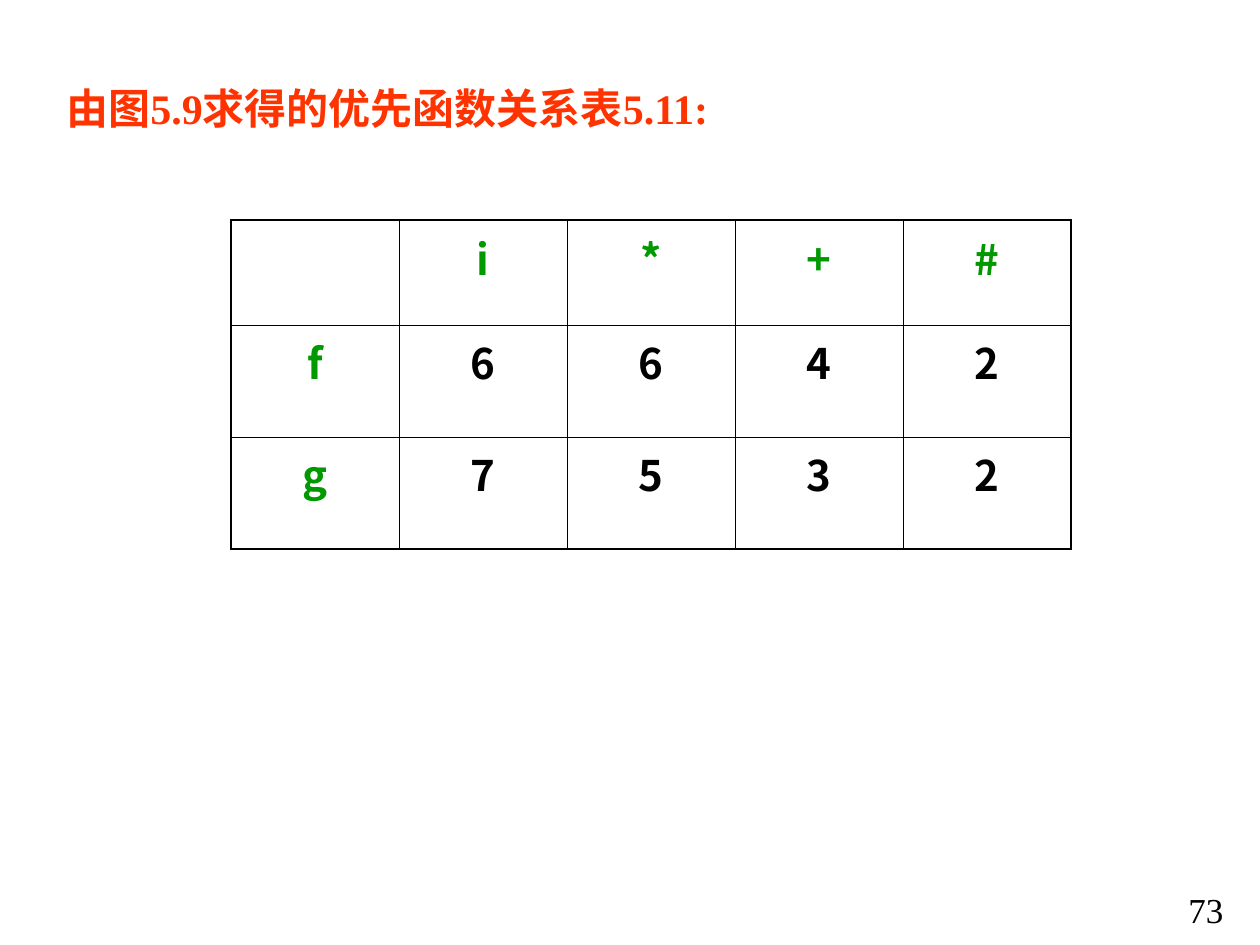
from lxml import etree
from pptx import Presentation
from pptx.dml.color import RGBColor
from pptx.enum.text import MSO_AUTO_SIZE as AutoSize, PP_ALIGN as Align
from pptx.oxml.ns import qn
from pptx.util import Emu, Pt

PX = 914400 // 126  # one pixel at 126 to the inch
RED = RGBColor(0xFF, 0x33, 0x00)
GREEN = RGBColor(0x00, 0x99, 0x00)
BLACK = RGBColor(0x00, 0x00, 0x00)
SERIF, SANS = "Times New Roman", "Noto Sans CJK SC"
THIN, THICK = Pt(0.45), Pt(1.08)

PRECEDENCE = [
    ["", "i", "*", "+", "#"],
    ["f", "6", "6", "4", "2"],
    ["g", "7", "5", "3", "2"],
]


def px(length):
    return Emu(length * PX)


def write_text(frame, text, size=24, font=SERIF, color=BLACK, bold=False, align=Align.LEFT):
    paragraph = frame.paragraphs[0]
    paragraph.alignment = align
    run = paragraph.add_run()
    run.text = text
    run.font.size, run.font.name, run.font.bold = Pt(size), font, bold
    run.font.color.rgb = color
    east_asian = etree.SubElement(run.font._element, qn("a:ea"))
    east_asian.set("typeface", SANS)


def add_text_box(slide, box, text, **text_format):
    frame = slide.shapes.add_textbox(*map(px, box)).text_frame
    frame.word_wrap = True
    frame.auto_size = AutoSize.SHAPE_TO_FIT_TEXT
    write_text(frame, text, **text_format)


def set_borders(cell, widths):
    """Draw black cell borders; widths maps L, R, T, B to line widths."""
    properties = cell._tc.get_or_add_tcPr()
    for position, side in enumerate("LRTB"):
        line = etree.Element(qn(f"a:ln{side}"), w=str(int(widths[side])))
        fill = etree.SubElement(line, qn("a:solidFill"))
        etree.SubElement(fill, qn("a:srgbClr"), val=str(BLACK))
        properties.insert(position, line)


def add_precedence_table(slide, box, rows, row_heights):
    last_row, last_column = len(rows) - 1, len(rows[0]) - 1
    table = slide.shapes.add_table(len(rows), len(rows[0]), *map(px, box)).table
    table.first_row = table.horz_banding = False
    for row, height in zip(table.rows, row_heights):
        row.height = px(height)
    for r, values in enumerate(rows):
        for c, value in enumerate(values):
            cell = table.cell(r, c)
            cell.fill.background()
            outer = {"L": c == 0, "R": c == last_column, "T": r == 0, "B": r == last_row}
            set_borders(cell, {side: THICK if edge else THIN for side, edge in outer.items()})
            if value:
                is_header = r == 0 or c == 0
                write_text(cell.text_frame, value, font=SANS, bold=True,
                           color=GREEN if is_header else BLACK, align=Align.CENTER)


def main():
    presentation = Presentation()
    presentation.slide_width, presentation.slide_height = px(1260), px(945)
    slide = presentation.slides.add_slide(presentation.slide_layouts[6])

    # Page number
    add_text_box(slide, (1176, 882, 84, 55), "73", size=20)
    # Title
    add_text_box(slide, (54, 76, 1152, 63), "由图5.9求得的优先函数关系表5.11:",
                 color=RED, bold=True)
    # Precedence function table
    add_precedence_table(slide, (231, 220, 840, 329), PRECEDENCE, (105, 112, 112))

    presentation.save("out.pptx")


if __name__ == "__main__":
    main()
